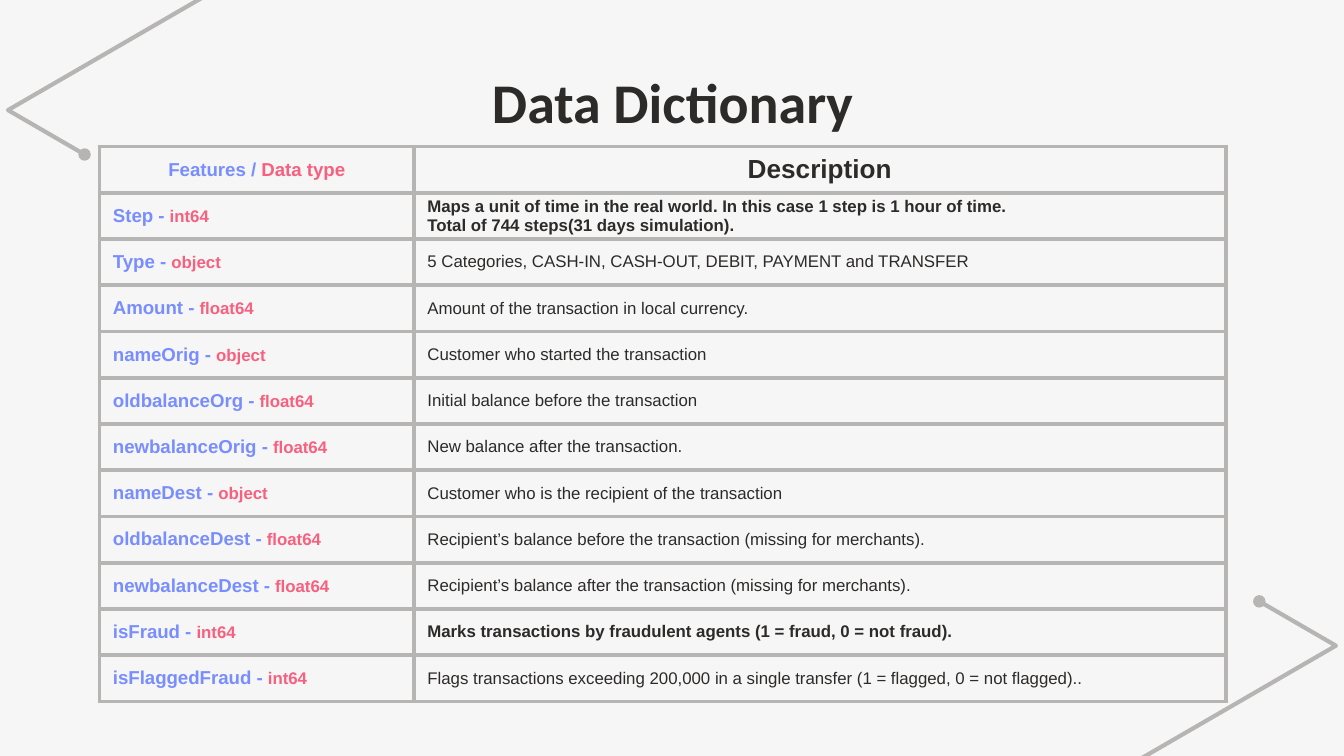
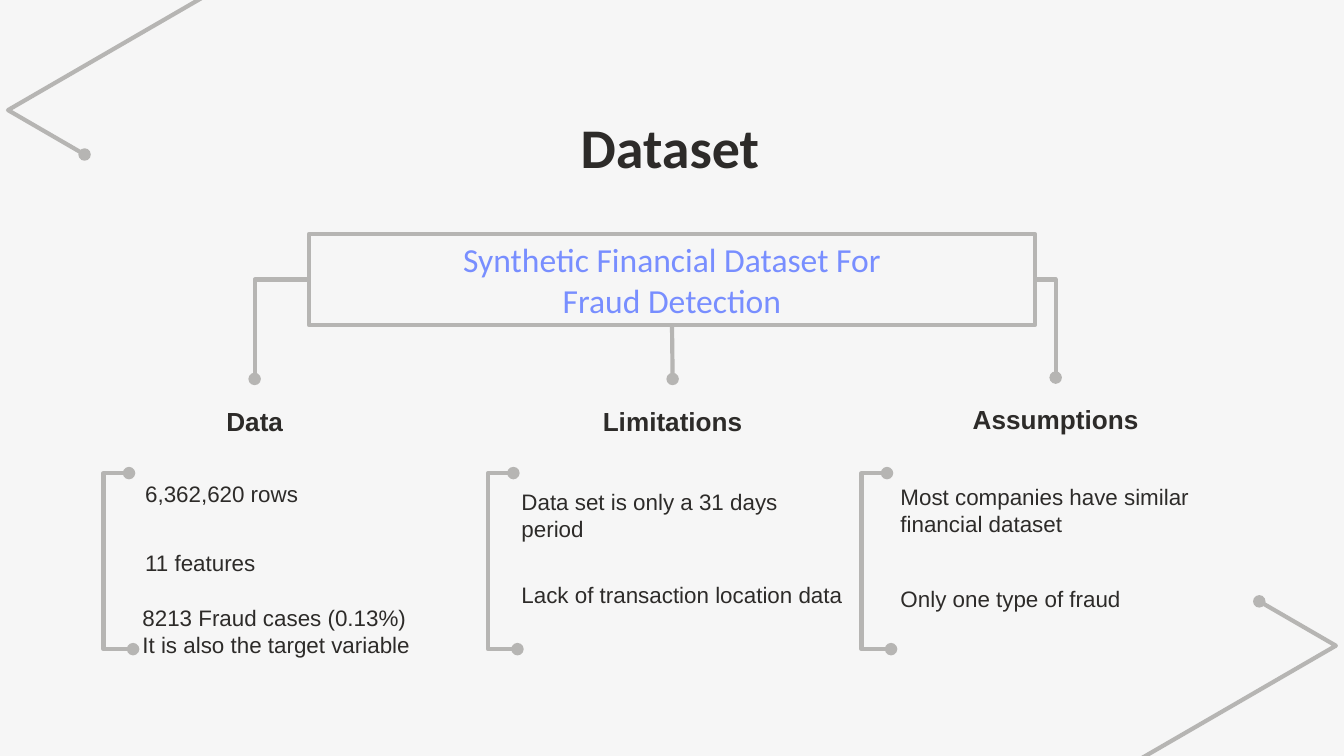
"""Build two slides that describe a fraud detection dataset."""
from dataclasses import dataclass

from lxml.etree import SubElement
from pptx import Presentation
from pptx.dml.color import RGBColor
from pptx.enum.shapes import MSO_CONNECTOR as Link, MSO_SHAPE as Preset
from pptx.enum.text import MSO_ANCHOR as Anchor, PP_ALIGN as Align
from pptx.oxml.ns import qn
from pptx.util import Inches, Pt

WIDTH, HEIGHT = 10, 10 * 9 / 16
COLORS = {
    "paper": "F6F6F6",
    "ink": "2D2B29",
    "line": "B6B5B3",
    "feature": "788EFF",
    "type": "F7607F",
}
LINE_WIDTH = Pt(2.25)
BODY_FONT, TITLE_FONT = "Arial", "Calibri"
CORNER = [(0.63, 1.15), (0.06, 0.82), (2.53, -0.61)]
TABLE_LEFT, TABLE_TOP, TABLE_HEIGHT = 0.74, 1.09, 4.13
COLUMN_WIDTHS = (2.34, 6.04)
HEADING_SIZE, NOTE_SIZE = (2.69, 0.62), (2.41, 0.49)
BRACKET_TOP, BRACKET_BOTTOM = 3.52, 4.83
LEFT_SITE, BOTTOM_SITE, RIGHT_SITE, TOP_SITE = 1, 2, 3, 0


@dataclass
class Style:
    size: float
    color: str = "ink"
    bold: bool = False
    font: str = BODY_FONT


@dataclass
class Feature:
    name: str
    kind: str
    description: str
    bold: bool = False


@dataclass
class Note:
    text: str
    left: float
    top: float


@dataclass
class Topic:
    heading: str
    left: float
    top: float
    bracket_left: float
    site: int
    link: Link
    notes: list[Note]


TITLE_STYLE = Style(30, bold=True, font=TITLE_FONT)
SUBJECT_STYLE = Style(18, "feature", font=TITLE_FONT)
HEADING_STYLE = Style(14, bold=True)
NOTE_STYLE = Style(12)
FEATURE_STYLE = Style(10, "feature", True)

FEATURES = [
    Feature("Step", "int64",
            "Maps a unit of time in the real world. In this case 1 step is 1 hour of time."
            "\vTotal of 744 steps(31 days simulation).", True),
    Feature("Type", "object", "5 Categories, CASH-IN, CASH-OUT, DEBIT, PAYMENT and TRANSFER"),
    Feature("Amount", "float64", "Amount of the transaction in local currency."),
    Feature("nameOrig", "object", "Customer who started the transaction"),
    Feature("oldbalanceOrg", "float64", "Initial balance before the transaction"),
    Feature("newbalanceOrig", "float64", "New balance after the transaction."),
    Feature("nameDest", "object", "Customer who is the recipient of the transaction"),
    Feature("oldbalanceDest", "float64",
            "Recipient’s balance before the transaction (missing for merchants)."),
    Feature("newbalanceDest", "float64",
            "Recipient’s balance after the transaction (missing for merchants)."),
    Feature("isFraud", "int64",
            "Marks transactions by fraudulent agents (1 = fraud, 0 = not fraud).", True),
    Feature("isFlaggedFraud", "int64",
            "Flags transactions exceeding 200,000 in a single transfer "
            "(1 = flagged, 0 = not flagged).."),
]

TOPICS = [
    Topic("Data", 0.55, 2.82, 0.77, LEFT_SITE, Link.ELBOW, [
        Note("6,362,620 rows", 1.08, 3.43),
        Note("11 features", 1.08, 3.94),
        Note("8213 Fraud cases (0.13%)\nIt is also the target variable", 1.06, 4.45),
    ]),
    Topic("Limitations", 3.66, 2.82, 3.63, BOTTOM_SITE, Link.STRAIGHT, [
        Note("Data set is only a 31 days period", 3.88, 3.59),
        Note("Lack of transaction location data", 3.88, 4.18),
    ]),
    Topic("Assumptions", 6.51, 2.81, 6.41, RIGHT_SITE, Link.ELBOW, [
        Note("Most companies have similar financial dataset", 6.7, 3.55),
        Note("Only one type of fraud", 6.7, 4.21),
    ]),
]


def color(name: str) -> RGBColor:
    return RGBColor.from_string(COLORS[name])


def format_span(span, style: Style) -> None:
    span.font.name = style.font
    span.font.size = Pt(style.size)
    span.font.bold = style.bold
    span.font.color.rgb = color(style.color)


def write(frame, text: str, style: Style, align: Align) -> None:
    frame.text = text
    for para in frame.paragraphs:
        para.alignment = align
        for span in para.runs:
            format_span(span, style)


def set_insets(frame, side: float) -> None:
    frame.margin_left = frame.margin_right = Inches(side)
    frame.margin_top = frame.margin_bottom = Inches(0.1)


def draw_line(shape, *ends: str) -> None:
    shape.line.color.rgb = color("line")
    shape.line.width = LINE_WIDTH
    outline = shape._element.spPr.find(qn("a:ln"))
    for end in ends:
        SubElement(outline, qn(f"a:{end}"), type="oval")


def add_path(page, points: list[tuple[float, float]]) -> None:
    start, *others = [(Inches(x), Inches(y)) for x, y in points]
    builder = page.shapes.build_freeform(*start, scale=1.0)
    builder.add_line_segments(others, close=False)
    shape = builder.convert_to_shape()
    shape.fill.background()
    shape.shadow.inherit = False
    draw_line(shape, "headEnd", "tailEnd")


def add_page(deck, title: str, left: float, top: float):
    page = deck.slides.add_slide(deck.slide_layouts[6])
    page.background.fill.solid()
    page.background.fill.fore_color.rgb = color("paper")
    add_path(page, [(WIDTH - x, HEIGHT - y) for x, y in CORNER])
    add_path(page, CORNER)
    box = page.shapes.add_textbox(Inches(left), Inches(top), Inches(8.43), Inches(0.63))
    box.text_frame.word_wrap = True
    set_insets(box.text_frame, 0)
    write(box.text_frame, title, TITLE_STYLE, Align.CENTER)
    return page


def add_box(page, text: str, left: float, top: float, size: tuple[float, float],
            style: Style, align: Align = Align.CENTER, side: float = 0.1):
    box = page.shapes.add_shape(Preset.ROUNDED_RECTANGLE, Inches(left), Inches(top),
                                Inches(size[0]), Inches(size[1]))
    box.adjustments[0] = 0
    box.fill.background()
    box.line.fill.background()
    box.shadow.inherit = False
    box.text_frame.vertical_anchor = Anchor.MIDDLE
    set_insets(box.text_frame, side)
    write(box.text_frame, text, style, align)
    return box


def add_link(page, subject, site: int, heading, link: Link) -> None:
    connector = page.shapes.add_connector(link, 0, 0, 0, 0)
    connector.begin_connect(subject, site)
    connector.end_connect(heading, TOP_SITE)
    draw_line(connector, "tailEnd")
    properties = connector._element.spPr
    SubElement(properties, qn("a:effectLst"))
    if link == Link.ELBOW:
        properties.find(qn("a:prstGeom")).set("prst", "bentConnector2")


def prepare_cell(cell) -> None:
    cell.vertical_anchor = Anchor.MIDDLE
    cell.margin_left = cell.margin_right = Inches(0.1)
    cell.margin_top = cell.margin_bottom = 0
    properties = cell._tc.get_or_add_tcPr()
    for side in ("lnL", "lnR", "lnT", "lnB"):
        border = SubElement(properties, qn(f"a:{side}"), w=str(LINE_WIDTH))
        fill = SubElement(border, qn("a:solidFill"))
        SubElement(fill, qn("a:srgbClr"), val=COLORS["line"])
    cell.fill.background()


def write_feature(cell, name: str, kind: str, kind_size: float, align: Align) -> None:
    para = cell.text_frame.paragraphs[0]
    para.alignment = align
    for text, style in ((name, FEATURE_STYLE), (kind, Style(kind_size, "type", True))):
        span = para.add_run()
        span.text = text
        format_span(span, style)


def add_dictionary(page) -> None:
    count = len(FEATURES) + 1
    table = page.shapes.add_table(count, 2, Inches(TABLE_LEFT), Inches(TABLE_TOP),
                                  Inches(sum(COLUMN_WIDTHS)), Inches(TABLE_HEIGHT)).table
    table.first_row = table.horz_banding = False
    for column, width in zip(table.columns, COLUMN_WIDTHS):
        column.width = Inches(width)
    for row in table.rows:
        row.height = Inches(TABLE_HEIGHT / count)
    for cell in table.iter_cells():
        prepare_cell(cell)
    write_feature(table.cell(0, 0), "Features / ", "Data type", 10, Align.CENTER)
    write(table.cell(0, 1).text_frame, "Description", HEADING_STYLE, Align.CENTER)
    for index, feature in enumerate(FEATURES, start=1):
        write_feature(table.cell(index, 0), f"{feature.name} - ", feature.kind, 9, Align.LEFT)
        write(table.cell(index, 1).text_frame, feature.description,
              Style(9, bold=feature.bold), Align.LEFT)


def add_topic(page, subject, topic: Topic) -> None:
    heading = add_box(page, topic.heading, topic.left, topic.top, HEADING_SIZE, HEADING_STYLE)
    add_link(page, subject, topic.site, heading, topic.link)
    left = topic.bracket_left
    add_path(page, [(left + 0.19, BRACKET_TOP), (left, BRACKET_TOP),
                    (left, BRACKET_BOTTOM), (left + 0.22, BRACKET_BOTTOM)])
    for note in topic.notes:
        add_box(page, note.text, note.left, note.top, NOTE_SIZE, NOTE_STYLE, Align.LEFT, 0)


def main() -> None:
    deck = Presentation()
    deck.slide_width, deck.slide_height = Inches(WIDTH), Inches(HEIGHT)

    add_dictionary(add_page(deck, "Data Dictionary", 0.79, 0.4))

    page = add_page(deck, "Dataset", 0.77, 0.74)
    subject = add_box(page, "Synthetic Financial Dataset For\nFraud Detection",
                      2.3, 1.74, (5.4, 0.68), SUBJECT_STYLE)
    draw_line(subject)
    for topic in TOPICS:
        add_topic(page, subject, topic)

    deck.save("out.pptx")


if __name__ == "__main__":
    main()
